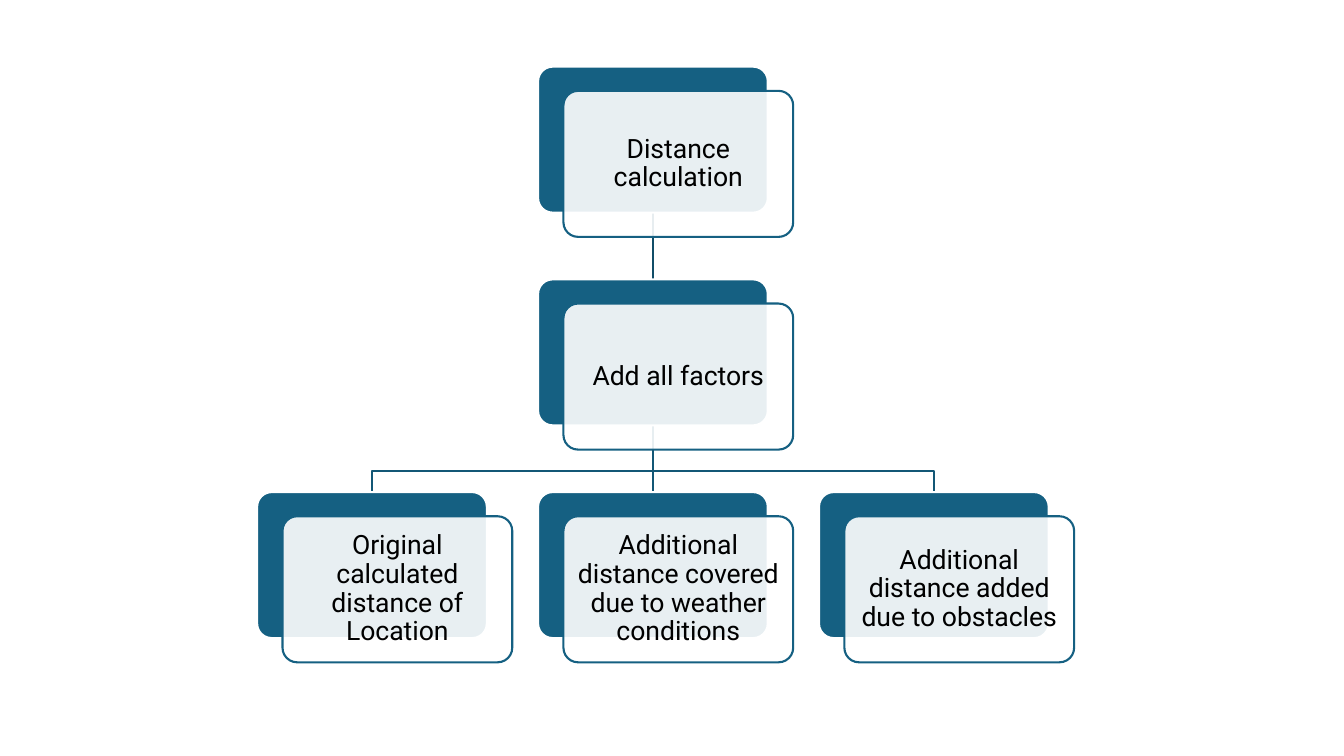
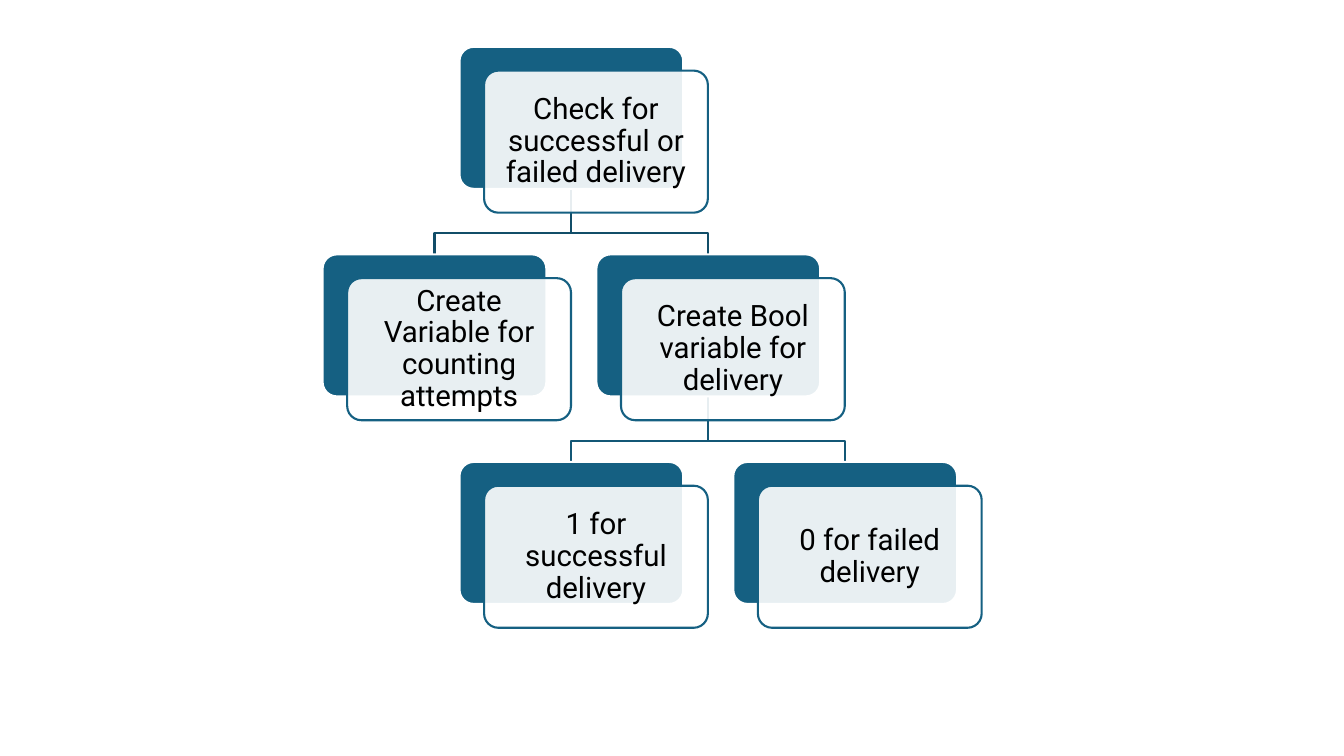
from dataclasses import dataclass

from lxml import etree
from pptx import Presentation
from pptx.dml.color import RGBColor as RGB
from pptx.enum.shapes import MSO_CONNECTOR as CONN, MSO_SHAPE as SHAPE
from pptx.enum.text import MSO_ANCHOR as ANCHOR, PP_ALIGN as ALIGN
from pptx.oxml.ns import qn
from pptx.util import Cm, Pt


@dataclass(frozen=True)
class Theme:
    """Colours and type shared by both slides."""
    font: str = "Roboto"
    text: RGB = RGB.from_string("000000")
    card: RGB = RGB.from_string("156082")
    paper: RGB = RGB.from_string("FFFFFF")
    links: tuple = (RGB.from_string("114D68"), RGB.from_string("135776"))
    paper_alpha: int = 90
    line: float = 1.5
    size_small: int = 19
    size_large: int = 21


@dataclass(frozen=True)
class Layout:
    """Grid of a tree, in centimetres; cards sit at (column, row)."""
    left: float
    top: float
    width: float
    height: float
    col_pitch: float
    row_pitch: float
    shift: tuple
    margin: float
    size: int

    def corner(self, col, row):
        return self.left + col * self.col_pitch, self.top + row * self.row_pitch


@dataclass(frozen=True)
class Node:
    text: str
    col: float
    row: int
    children: tuple = ()


T = Theme()


# --- Formatting helpers ---
def write(sp, text, *, size, color=T.text, margin=0.2, spacing=0.9):
    tf = sp.text_frame
    tf.word_wrap = True
    tf.vertical_anchor = ANCHOR.MIDDLE
    tf.margin_left = tf.margin_right = tf.margin_top = tf.margin_bottom = Cm(margin)
    p = tf.paragraphs[0]
    p.alignment = ALIGN.CENTER
    p.line_spacing = spacing
    r = p.add_run()
    r.text = text
    r.font.name = T.font
    r.font.size = Pt(size)
    r.font.color.rgb = color


def stroke(sp, color):
    sp.line.color.rgb = color
    sp.line.width = Pt(T.line)


def set_alpha(sp, percent):
    clr = sp.fill._xPr.find(qn("a:solidFill"))[0]
    etree.SubElement(clr, qn("a:alpha")).set("val", str(percent * 1000))


# --- Elements ---
def add_panel(s, x, y, lay, fill, line):
    sp = s.shapes.add_shape(SHAPE.ROUNDED_RECTANGLE, Cm(x), Cm(y),
                            Cm(lay.width), Cm(lay.height))
    sp.adjustments[0] = 0.1
    sp.shadow.inherit = False
    sp.fill.solid()
    sp.fill.fore_color.rgb = fill
    stroke(sp, line)
    return sp


def add_card(s, node, lay):
    x, y = lay.corner(node.col, node.row)
    dx, dy = lay.shift
    add_panel(s, x, y, lay, T.card, T.paper)
    front = add_panel(s, x + dx, y + dy, lay, T.paper, T.card)
    set_alpha(front, T.paper_alpha)
    write(front, node.text, size=lay.size, margin=lay.margin)


def add_link(s, parent, child, lay):
    """Line from the parent's bottom centre to the child's top centre."""
    px, py = lay.corner(parent.col, parent.row)
    cx, cy = lay.corner(child.col, child.row)
    x1, x2 = px + lay.width / 2, cx + lay.width / 2
    y1, y2 = py + lay.height, cy
    if parent.col == child.col:
        sp = s.shapes.add_connector(CONN.STRAIGHT, Cm(x1), Cm(y1), Cm(x2), Cm(y2))
        etree.SubElement(sp._element.spPr, qn("a:effectLst"))
    else:
        bend = y1 + 0.68 * (y2 - y1)
        fb = s.shapes.build_freeform(Cm(x1), Cm(y1))
        fb.add_line_segments([(Cm(x), Cm(y)) for x, y in
                              ((x1, bend), (x2, bend), (x2, y2))], close=False)
        sp = fb.convert_to_shape()
        sp.shadow.inherit = False
        sp.fill.background()
    stroke(sp, T.links[parent.row])


def walk(node):
    yield node
    for child in node.children:
        yield from walk(child)


def add_tree(prs, root, lay):
    s = prs.slides.add_slide(prs.slide_layouts[6])
    nodes = list(walk(root))
    # Links lie behind all cards
    for node in nodes:
        for child in node.children:
            add_link(s, node, child, lay)
    for node in nodes:
        add_card(s, node, lay)


# --- Content ---
DISTANCE = Node("Distance calculation", 1, 0, (
    Node("Add all factors", 1, 1, (
        Node("Original calculated distance of Location", 0, 2),
        Node("Additional distance covered due to weather conditions", 1, 2),
        Node("Additional distance added due to obstacles", 2, 2),
    )),
))
DISTANCE_LAYOUT = Layout(left=6.48, top=1.68, width=5.79, height=3.68,
                         col_pitch=7.08, row_pitch=5.36, shift=(0.64, 0.61),
                         margin=0.2, size=T.size_small)

DELIVERY = Node("Check for successful or failed delivery", 0.5, 0, (
    Node("Create Variable for counting attempts", 0, 1),
    Node("Create Bool variable for delivery", 1, 1, (
        Node("1 for successful delivery", 0.5, 2),
        Node("0 for failed delivery", 1.5, 2),
    )),
))
DELIVERY_LAYOUT = Layout(left=8.13, top=1.18, width=5.64, height=3.58,
                         col_pitch=6.9, row_pitch=5.23, shift=(0.62, 0.6),
                         margin=0.22, size=T.size_large)


def main():
    prs = Presentation()
    prs.slide_width, prs.slide_height = Cm(33.87), Cm(19.05)
    add_tree(prs, DISTANCE, DISTANCE_LAYOUT)
    add_tree(prs, DELIVERY, DELIVERY_LAYOUT)
    prs.save("out.pptx")


if __name__ == "__main__":
    main()
